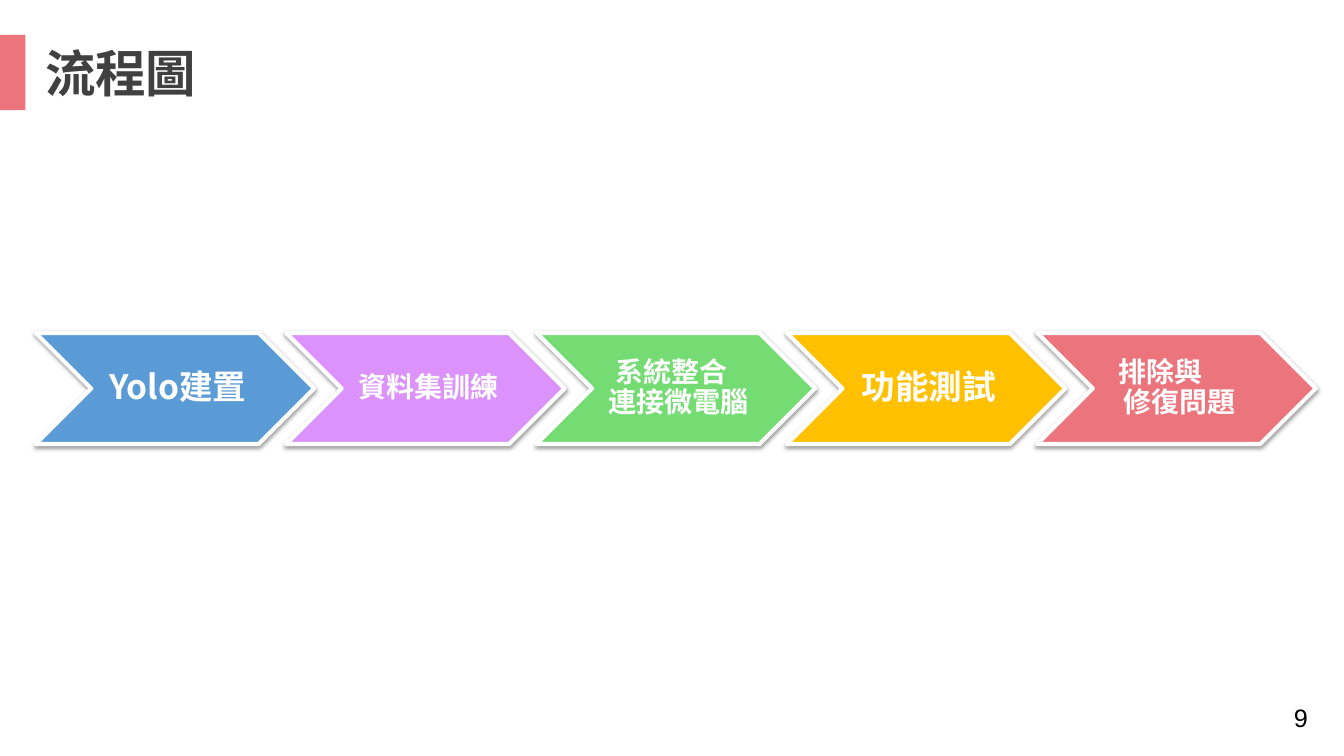
from lxml import etree
from pptx import Presentation
from pptx.dml.color import RGBColor
from pptx.enum.shapes import MSO_SHAPE
from pptx.enum.text import MSO_ANCHOR, PP_ALIGN
from pptx.oxml.ns import qn
from pptx.util import Cm, Pt

RECTANGLE, CHEVRON = MSO_SHAPE.RECTANGLE, MSO_SHAPE.CHEVRON
TOP, MIDDLE = MSO_ANCHOR.TOP, MSO_ANCHOR.MIDDLE
LEFT, CENTER = PP_ALIGN.LEFT, PP_ALIGN.CENTER
HEADING_FONT = "Noto Sans CJK SC"

COLORS = {
    "white": "FFFFFF", "black": "000000", "title": "404040",
    "blue": "5B9BD5", "purple": "DB93FB", "green": "75DC73",
    "yellow": "FFC000", "coral": "EC747D",
}

# Each step: lines of text, fill, size, indent of the first of two lines (cm)
STEPS = [
    (["Yolo建置"], "blue", 24, 0),
    (["資料集訓練"], "purple", 20, 0),
    (["系統整合", "連接微電腦"], "green", 20, 0.36),
    (["功能測試"], "yellow", 24, 0),
    (["排除與", "修復問題"], "coral", 20, 0.41),
]


def color(name):
    return RGBColor.from_string(COLORS[name])


def add_text(shapes, box, lines, *, size, tint, font=HEADING_FONT, bold=False,
             align=LEFT, anchor=TOP, wrap=True, spacing=1.0, first_indent=0,
             insets=(0.25, 0.13, 0.25, 0.13)):
    frame = shapes.add_textbox(*map(Cm, box)).text_frame
    frame.word_wrap = wrap
    frame.vertical_anchor = anchor
    (frame.margin_left, frame.margin_top,
     frame.margin_right, frame.margin_bottom) = map(Cm, insets)
    for index, line in enumerate(lines):
        para = frame.paragraphs[0] if index == 0 else frame.add_paragraph()
        para.alignment = align
        para.line_spacing = spacing
        if index == 0 and first_indent:
            para.alignment = LEFT
            para._p.get_or_add_pPr().set("marL", str(Cm(first_indent)))
        span = para.add_run()
        span.text = line
        span.font.size, span.font.bold = Pt(size), bold
        span.font.color.rgb = color(tint)
        span.font.name = font
        etree.SubElement(span._r.get_or_add_rPr(), qn("a:ea"), typeface=font)


def add_shape(shapes, kind, box, fill):
    shape = shapes.add_shape(kind, *map(Cm, box))
    shape.shadow.inherit = False
    shape.fill.solid()
    shape.fill.fore_color.rgb = color(fill)
    shape.line.fill.background()
    return shape


def add_soft_shadow(shape):
    effects = shape._element.spPr.find(qn("a:effectLst"))
    shadow = etree.SubElement(
        effects, qn("a:outerShdw"), blurRad=str(Pt(3.1)), dist=str(Pt(1.6)),
        dir="5400000", rotWithShape="0")
    tint = etree.SubElement(shadow, qn("a:srgbClr"), val=COLORS["black"])
    etree.SubElement(tint, qn("a:alpha"), val="38000")


def add_header(page, box, title):
    left, top, width, height = box
    add_shape(page.shapes, RECTANGLE, (left, top, 0.64, height), "coral")
    add_text(page.shapes, (left + 0.89, top + 0.06, width - 0.89, 1.8), [title],
             size=36, tint="title", bold=True, wrap=False)


def add_step(group, box, lines, fill, size, first_indent):
    left, top, width, height = box
    arrow = add_shape(group.shapes, CHEVRON, box, fill)
    arrow.line.color.rgb = color("white")
    arrow.line.width = Pt(3)
    add_soft_shadow(arrow)
    # The label fills the part between the notch and the point
    notch = height / 2
    pad = 0.1 if size == 24 else 0.08
    add_text(group.shapes, (left + notch, top, width - height, height), lines,
             size=size, tint="white", bold=True, align=CENTER, anchor=MIDDLE,
             spacing=0.9, first_indent=first_indent,
             insets=(0.24, pad, pad, pad))


def add_process(page, box):
    left, top, width, height = box
    step_width = 7.02
    pitch = (width - step_width) / (len(STEPS) - 1)
    group = page.shapes.add_group_shape()
    for index, step in enumerate(STEPS):
        add_step(group, (left + index * pitch, top, step_width, height), *step)


def add_page_number(page, box, number):
    add_text(page.shapes, box, [number], size=18, tint="black", font="Arial")


def main():
    deck = Presentation()
    deck.slide_width, deck.slide_height = Cm(33.87), Cm(19.05)
    page = deck.slides.add_slide(deck.slide_layouts[6])
    add_header(page, (0, 0.88, 5.26, 1.9), "流程圖")
    add_page_number(page, (32.36, 17.58, 1.32, 1.02), "9")
    add_process(page, (0.9, 8.39, 32.26, 2.8))
    deck.save("out.pptx")


if __name__ == "__main__":
    main()
